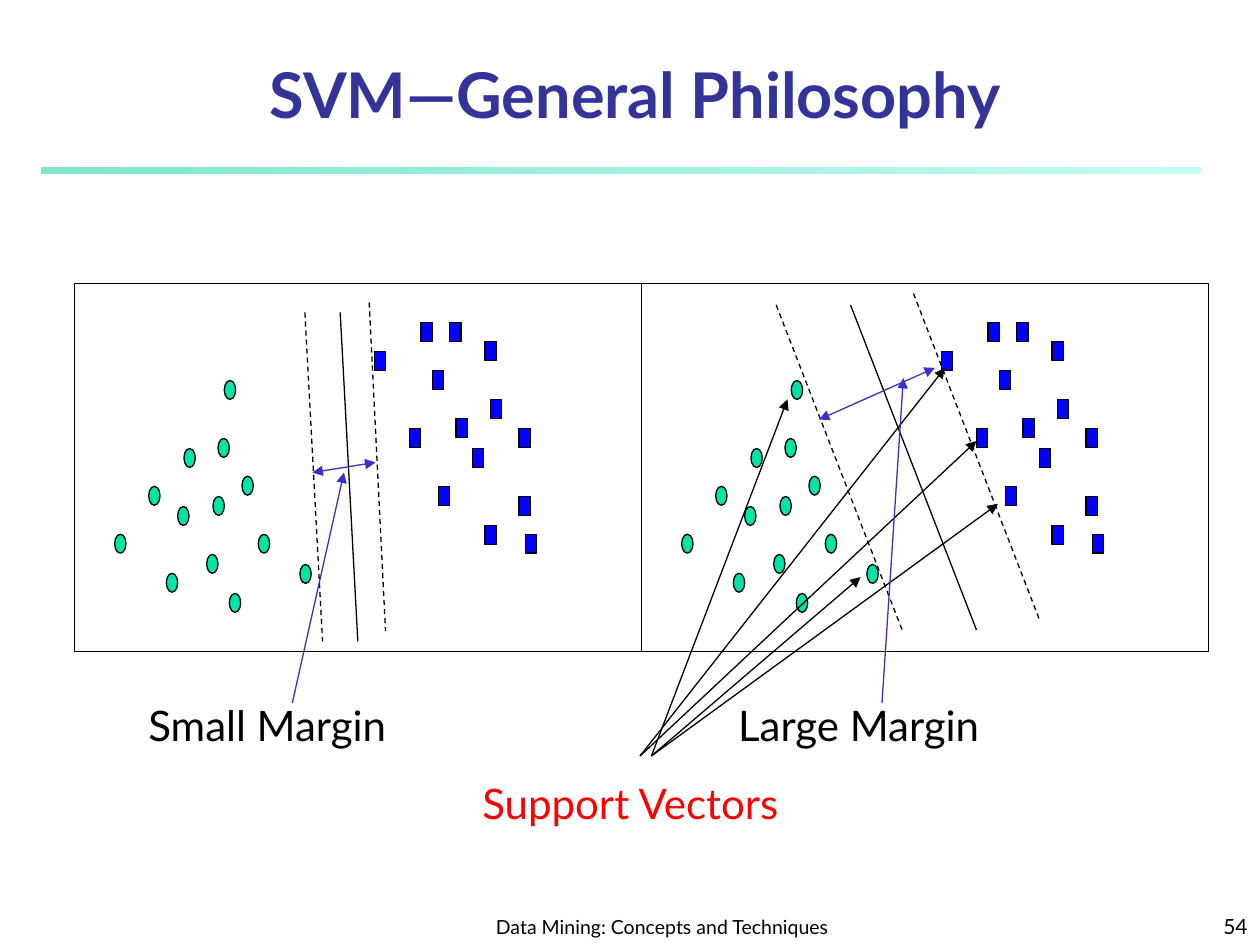
import pptx
import pptx.util
import pptx.dml.color
import pptx.enum.dml
import pptx.enum.shapes
import pptx.enum.text
import pptx.oxml.ns
import lxml.etree

PX = 9144
FONT = "Lato"
HUES = {
    "ink": "000000", "title": "333399", "red": "FF0000", "dot": "00E4A8",
    "box": "0000FF", "blue": "3333CC", "bar1": "00CE98", "bar2": "8FF9EF",
}
KIND = pptx.enum.shapes.MSO_SHAPE
ALIGN = pptx.enum.text.PP_ALIGN
ANCHOR = pptx.enum.text.MSO_ANCHOR
FIT = pptx.enum.text.MSO_AUTO_SIZE

TITLE = "SVM—General Philosophy"
DOTS = [(132, 455), (141, 402), (91, 424), (118, 386), (164, 440), (146, 356), (169, 394),
        (173, 348), (192, 378), (205, 424), (182, 471), (238, 448), (178, 302)]
BOXES = [(325, 340), (297, 279), (334, 256), (348, 386), (343, 294), (362, 332), (357, 256),
         (385, 271), (375, 356), (389, 317), (385, 417), (412, 340), (412, 394), (417, 424)]
MARK = (9, 15)
FRAME = (59, 225, 450, 292)
PANELS = [
    (0, [((293, 240, 306, 501), True), ((242, 248, 256, 509), True),
         ((270, 248, 284, 509), False)]),
    (450, [((616, 242, 716, 500), True), ((725, 233, 825, 492), True),
           ((675, 242, 775, 500), False)]),
]
NOTES = [
    ("Support Vectors", (373, 612, 271, 50), "red", "ink",
     [(508, 600, 750, 292), (508, 600, 775, 350), (517, 600, 792, 400),
      (517, 600, 683, 458), (517, 600, 625, 317)], []),
    ("Small Margin", (108, 550, 226, 50), "ink", "blue",
     [(232, 558, 273, 375)], [(248, 375, 298, 367)]),
    ("Large Margin", (576, 550, 230, 50), "ink", "blue",
     [(700, 558, 717, 300)], [(650, 333, 742, 292)]),
]
FOOT = [
    ("Data Mining: Concepts and Techniques", (367, 708, 317, 42), 11.1, ALIGN.CENTER),
    ("54", (792, 708, 208, 42), 12, ALIGN.RIGHT),
]


def emu(nums):
    return [n * PX for n in nums]


def tint(name):
    return pptx.dml.color.RGBColor.from_string(HUES[name])


def style(frame, text, size, hue, align=ALIGN.LEFT, bold=False):
    frame.text = text
    para = frame.paragraphs[0]
    para.alignment = align
    para.font.name = FONT
    para.font.size = pptx.util.Pt(size)
    para.font.bold = bold
    para.font.color.rgb = tint(hue)


def add_mark(host, kind, area, hue=None):
    shape = host.add_shape(kind, *emu(area))
    shape.shadow.inherit = False
    if hue:
        shape.fill.solid()
        shape.fill.fore_color.rgb = tint(hue)
    else:
        shape.fill.background()
    shape.line.color.rgb = tint("ink")
    shape.line.width = pptx.util.Pt(0.75)


def add_line(host, ends, hue="ink", dash=False, tips=()):
    line = host.add_connector(pptx.enum.shapes.MSO_CONNECTOR.STRAIGHT, *emu(ends))
    line.line.color.rgb = tint(hue)
    line.line.width = pptx.util.Pt(0.75)
    if dash:
        line.line.dash_style = pptx.enum.dml.MSO_LINE.DASH
    props = line._element.spPr
    stroke = props.find(pptx.oxml.ns.qn("a:ln"))
    for tip in tips:
        end = lxml.etree.SubElement(stroke, pptx.oxml.ns.qn("a:" + tip))
        end.set("type", "triangle")
    lxml.etree.SubElement(props, pptx.oxml.ns.qn("a:effectLst"))


def add_bar(host):
    bar = host.add_shape(KIND.RECTANGLE, *emu((33, 133, 920, 5)))
    bar.shadow.inherit = False
    bar.line.fill.background()
    bar.fill.gradient()
    bar.fill.gradient_angle = 0
    for stop, hue in zip(bar.fill.gradient_stops, ("bar1", "bar2")):
        stop.color.rgb = tint(hue)
    for node, alpha in zip(bar._element.spPr.iter(pptx.oxml.ns.qn("a:srgbClr")), (50, 52)):
        part = lxml.etree.SubElement(node, pptx.oxml.ns.qn("a:alpha"))
        part.set("val", str(alpha * 1000))


def add_panel(host, shift, lines):
    for kind, hue, spots in ((KIND.OVAL, "dot", DOTS), (KIND.RECTANGLE, "box", BOXES)):
        for left, top in spots:
            add_mark(host, kind, (left + shift, top, *MARK), hue)
    left, *rest = FRAME
    add_mark(host, KIND.RECTANGLE, (left + shift, *rest))
    for ends, dash in lines:
        add_line(host, ends, dash=dash)


def main():
    deck = pptx.Presentation()
    deck.slide_width, deck.slide_height = emu((1000, 750))
    slide = deck.slides.add_slide(deck.slide_layouts[5])
    shapes = slide.shapes

    title = shapes.title
    title.left, title.top, title.width, title.height = emu((33, 42, 942, 67))
    title.text_frame.auto_size = FIT.NONE
    title.text_frame.vertical_anchor = ANCHOR.BOTTOM
    style(title.text_frame, TITLE, 36, "title", ALIGN.CENTER, True)
    add_bar(shapes)

    for text, area, size, align in FOOT:
        frame = shapes.add_textbox(*emu(area)).text_frame
        frame.word_wrap = True
        frame.vertical_anchor = ANCHOR.BOTTOM
        style(frame, text, size, "ink", align)

    for shift, lines in PANELS:
        add_panel(shapes.add_group_shape().shapes, shift, lines)

    for text, area, hue, ray, arrows, spans in NOTES:
        host = shapes.add_group_shape().shapes
        frame = host.add_textbox(*emu(area)).text_frame
        frame.word_wrap = False
        frame.auto_size = FIT.SHAPE_TO_FIT_TEXT
        style(frame, text, 24, hue)
        for ends in spans:
            add_line(host, ends, ray, tips=("headEnd", "tailEnd"))
        for ends in arrows:
            add_line(host, ends, ray, tips=("tailEnd",))

    deck.save("out.pptx")


if __name__ == "__main__":
    main()
